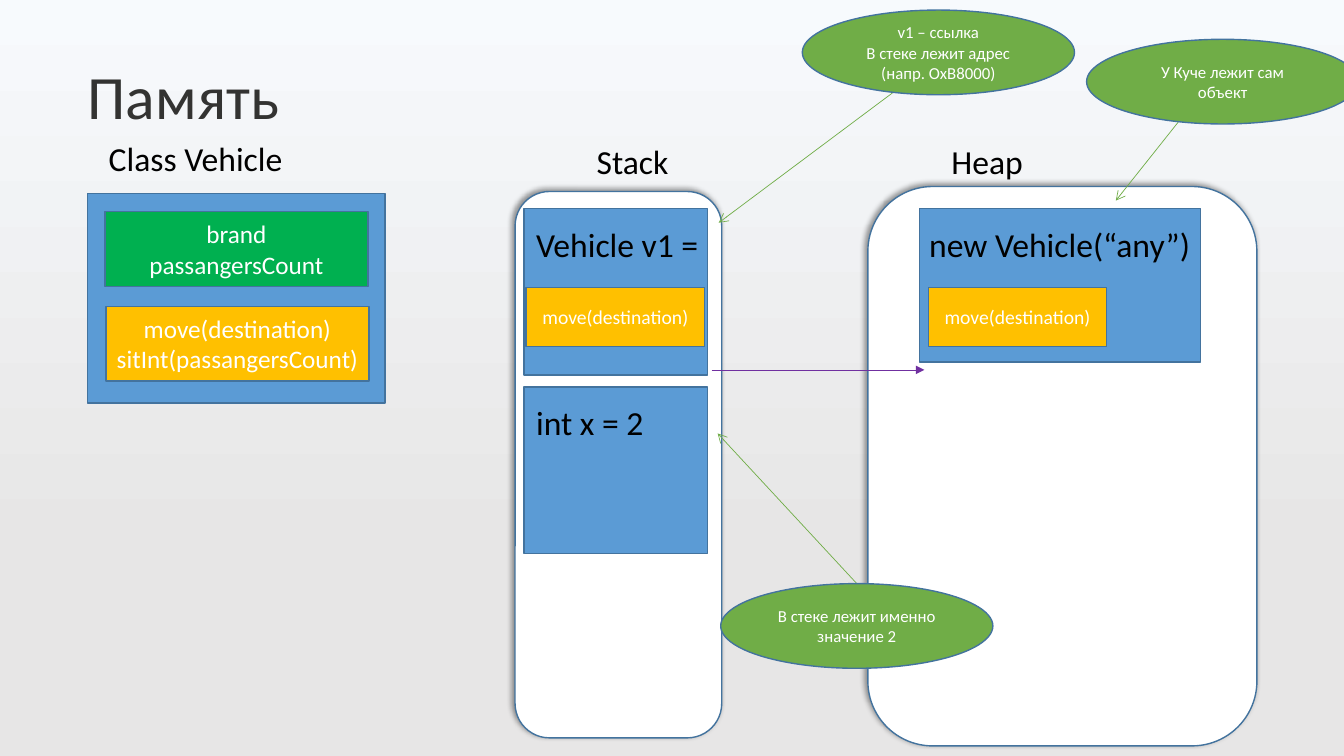
from dataclasses import dataclass
from typing import NamedTuple

from lxml.etree import SubElement
from pptx import Presentation
from pptx.dml.color import RGBColor
from pptx.enum.shapes import MSO_CONNECTOR, MSO_SHAPE
from pptx.enum.text import MSO_ANCHOR, MSO_AUTO_SIZE, PP_ALIGN
from pptx.oxml.ns import qn
from pptx.util import Inches, Pt

CELL = 0.1
COLUMNS, ROWS = 133.33, 75
BLUE, GREEN, AMBER, LEAF = "5B9BD5", "00B050", "FFC000", "70AD47"
WHITE, BLACK, OUTLINE, PURPLE = "FFFFFF", "000000", "43739E", "7030A0"


class Area(NamedTuple):
    left: float
    top: float
    width: float
    height: float


@dataclass
class Block:
    area: Area
    fill: str
    text: str = ""
    size: int = 18
    preset: MSO_SHAPE = MSO_SHAPE.RECTANGLE
    shadowed: bool = False


@dataclass
class Label:
    area: Area
    text: str
    size: int = 24
    color: str = BLACK


@dataclass
class Arrow:
    start: tuple[float, float]
    end: tuple[float, float]
    color: str = LEAF
    head: str = "arrow"


def cells(*counts: float) -> list[int]:
    """Convert grid counts to slide lengths."""
    return [Inches(count * CELL) for count in counts]


def paint(target, color: str) -> None:
    """Set a colour format from a hex string."""
    target.rgb = RGBColor.from_string(color)


def apply(target, formats: dict) -> None:
    """Set every attribute named in a dict of format values."""
    for name, value in formats.items():
        setattr(target, name, value)


def write(frame, text: str, size: int, color: str, paragraph_formats: dict) -> None:
    """Fill a text frame and format its paragraphs."""
    frame.text = text
    for paragraph in frame.paragraphs:
        apply(paragraph, paragraph_formats)
        for run in paragraph.runs:
            apply(run.font, {"name": "Calibri", "size": Pt(size)})
            paint(run.font.color, color)


def cast_shadow(shape) -> None:
    """Add a soft shadow towards the upper left."""
    effects = shape._element.spPr.find(qn("a:effectLst"))
    shadow = SubElement(effects, qn("a:outerShdw"), blurRad=str(Pt(4)),
                        dist=str(Pt(3)), dir=str(225 * 60000), rotWithShape="0")
    shade = SubElement(shadow, qn("a:srgbClr"), val=BLACK)
    SubElement(shade, qn("a:alpha"), val="40000")


def draw_block(slide, block: Block) -> None:
    """Draw a filled shape with centred text."""
    shape = slide.shapes.add_shape(block.preset, *cells(*block.area))
    shape.shadow.inherit = False
    shape.fill.solid()
    paint(shape.fill.fore_color, block.fill)
    paint(shape.line.color, OUTLINE)
    shape.line.width = Pt(1)
    if block.shadowed:
        cast_shadow(shape)
    if block.text:
        apply(shape.text_frame, {"word_wrap": True, "vertical_anchor": MSO_ANCHOR.MIDDLE})
        write(shape.text_frame, block.text, block.size, WHITE, {"alignment": PP_ALIGN.CENTER})


def draw_label(slide, label: Label) -> None:
    """Draw a caption that grows with its text."""
    frame = slide.shapes.add_textbox(*cells(*label.area)).text_frame
    apply(frame, {"word_wrap": True, "auto_size": MSO_AUTO_SIZE.SHAPE_TO_FIT_TEXT})
    write(frame, label.text, label.size, label.color, {})


def draw_title(slide, title: Label) -> None:
    """Draw the heading without insets."""
    frame = slide.shapes.add_textbox(*cells(*title.area)).text_frame
    sides = ("left", "top", "right", "bottom")
    apply(frame, {"word_wrap": True} | {f"margin_{side}": 0 for side in sides})
    write(frame, title.text, title.size, title.color, {"line_spacing": 0.9})


def draw_arrow(slide, arrow: Arrow) -> None:
    """Draw a thin straight arrow."""
    connector = slide.shapes.add_connector(
        MSO_CONNECTOR.STRAIGHT, *cells(*arrow.start, *arrow.end))
    paint(connector.line.color, arrow.color)
    connector.line.width = Pt(0.5)
    SubElement(connector.line._get_or_add_ln(), qn("a:tailEnd"), type=arrow.head)
    SubElement(connector._element.spPr, qn("a:effectLst"))


def draw_background(slide) -> None:
    """Fade the background from pale blue to grey."""
    fill = slide.background.fill
    fill.gradient()
    fill.gradient_angle = 270
    for stop, (position, color) in zip(fill.gradient_stops, ((0, "F7FAFD"), (0.72, "E7E6E6"))):
        stop.position = position
        paint(stop.color, color)


def panel(*area: float) -> Block:
    """Describe a white memory region."""
    return Block(Area(*area), WHITE, preset=MSO_SHAPE.ROUNDED_RECTANGLE, shadowed=True)


def method(left: float) -> Block:
    """Describe the method box inside a stored object."""
    return Block(Area(left, 28.5, 17.7, 5.9), AMBER, "move(destination)", 14)


def callout(left: float, top: float, text: str) -> Block:
    """Describe an explanatory oval."""
    return Block(Area(left, top, 27, 8.4), LEAF, text, 12, MSO_SHAPE.OVAL)


TITLE = Label(Area(8.7, 6.6, 95.9, 14.4), "Память", 44, "333332")
BLOCKS = [
    Block(Area(8.7, 19.2, 29.5, 20.8), BLUE),
    Block(Area(10.4, 21, 26.1, 7.4), GREEN, "brand\vpassangersCount"),
    Block(Area(10.5, 30.4, 26.1, 7.4), AMBER, "move(destination)\nsitInt(passangersCount)"),
    panel(51.1, 19, 20.5, 54.2),
    panel(86.1, 18.5, 38.6, 55.5),
    Block(Area(52, 20.7, 18.2, 16.5), BLUE),
    Block(Area(52, 38.4, 18.2, 16.5), BLUE),
    Block(Area(91.2, 20.7, 27.9, 15.2), BLUE),
    method(52.2),
    method(92.1),
]
LABELS = [
    Label(Area(9.8, 13.2, 22.5, 5), "Class Vehicle"),
    Label(Area(58.2, 13.5, 15.1, 5), "Stack"),
    Label(Area(93.4, 13.5, 15.1, 5), "Heap"),
    Label(Area(52.2, 21.7, 22.5, 5), "Vehicle v1 ="),
    Label(Area(91.2, 21.7, 31, 5), "new Vehicle(“any”)"),
    Label(Area(52.2, 39.4, 22.5, 5), "int x = 2"),
]
ARROWS = [
    Arrow((70.6, 36.7), (91.7, 36.7), PURPLE, "triangle"),
    Arrow((88.7, 9.1), (71.3, 22.1)),
    Arrow((116.9, 12.1), (110.7, 19.9)),
    Arrow((85, 57.9), (71.2, 43)),
]
CALLOUTS = [
    callout(79.6, 1, "v1 – ссылка\nВ стеке лежит адрес (напр. OxB8000)"),
    callout(107.8, 3.9, "У Куче лежит сам объект"),
    callout(71.5, 57.9, "В стеке лежит именно значение 2"),
]


def main() -> None:
    """Build and save the slide."""
    deck = Presentation()
    deck.slide_width, deck.slide_height = cells(COLUMNS, ROWS)
    slide = deck.slides.add_slide(deck.slide_layouts[6])
    draw_background(slide)
    draw_title(slide, TITLE)
    for draw, items in ((draw_block, BLOCKS), (draw_label, LABELS),
                        (draw_arrow, ARROWS), (draw_block, CALLOUTS)):
        for item in items:
            draw(slide, item)
    deck.save("out.pptx")


if __name__ == "__main__":
    main()
